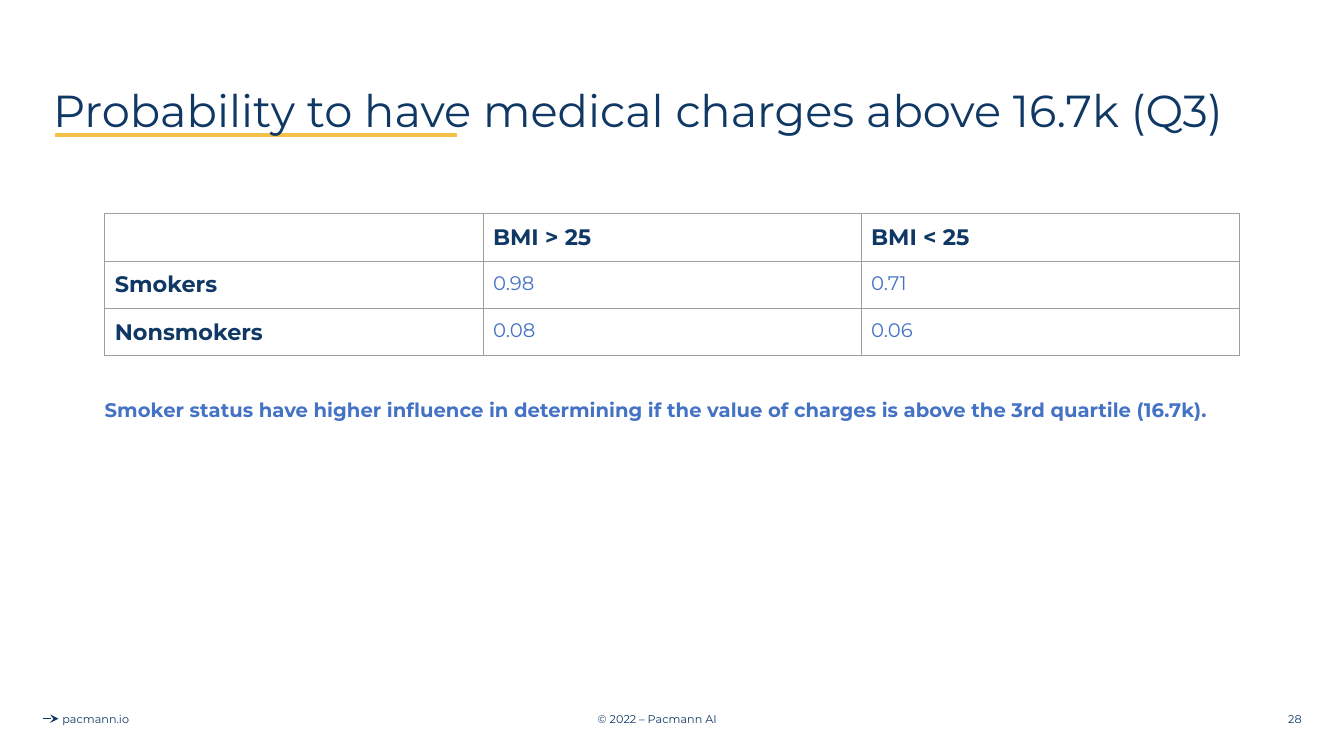
from dataclasses import dataclass

from lxml import etree
from pptx import Presentation
from pptx.dml.color import RGBColor
from pptx.enum import dml, shapes, text
from pptx.oxml import ns
from pptx.util import Inches, Pt


@dataclass(frozen=True)
class Theme:
    font: str = "Montserrat"
    navy: str = "103864"
    blue: str = "4472C4"
    yellow: str = "F3C145"
    border: str = "9E9E9E"
    paper: str = "FFFFFF"
    title_size: int = 32
    label_size: int = 16
    body_size: int = 14
    footer_size: int = 8


@dataclass(frozen=True)
class TextLine:
    wording: str
    left: float
    top: float
    width: float
    height: float
    size: int
    color: str
    bold: bool = False
    align: text.PP_ALIGN = text.PP_ALIGN.LEFT
    anchor: text.MSO_ANCHOR = text.MSO_ANCHOR.MIDDLE
    line_spacing: float = 1.0


@dataclass(frozen=True)
class Rule:
    start: float
    end: float
    y: float
    color: str
    weight: float
    arrow: bool = False


THEME = Theme()
FOOTER_TOP, FOOTER_HEIGHT = 6.93, 0.4
TABLE_LEFT, TABLE_TOP = 1.04, 2.12
COLUMN_WIDTH, ROW_HEIGHT = 3.75, 0.47
CELL_MARGIN = 0.1

RULES = [
    Rule(0.43, 0.58, 7.13, THEME.navy, 0.75, arrow=True),
    Rule(0.55, 4.53, 1.34, THEME.yellow, 2.25),
]


def footer(wording: str, left: float, width: float, align: text.PP_ALIGN) -> TextLine:
    return TextLine(wording, left, FOOTER_TOP, width, FOOTER_HEIGHT,
                    THEME.footer_size, THEME.navy, align=align)


TEXT_LINES = [
    footer("© 2022 – Pacmann AI", 4.27, 4.5, text.PP_ALIGN.CENTER),
    footer("pacmann.io", 0.3, 1.3, text.PP_ALIGN.CENTER),
    footer("28", 10.01, 3, text.PP_ALIGN.RIGHT),
    TextLine("Probability to have medical charges above 16.7k (Q3)",
             0.43, 0.4, 12.47, 1.45, THEME.title_size, THEME.navy, line_spacing=0.9),
    TextLine("Smoker status have higher influence in determining if the value of "
             "charges is above the 3rd quartile (16.7k).",
             0.94, 3.9, 11.96, 0.34, THEME.body_size, THEME.blue, bold=True,
             anchor=text.MSO_ANCHOR.TOP),
]

PROBABILITIES = [
    ["", "BMI > 25", "BMI < 25"],
    ["Smokers", "0.98", "0.71"],
    ["Nonsmokers", "0.08", "0.06"],
]


def format_font(paragraph, size: int, color: str, bold: bool) -> None:
    for attribute, value in {"name": THEME.font, "size": Pt(size), "bold": bold}.items():
        setattr(paragraph.font, attribute, value)
    paragraph.font.color.rgb = RGBColor.from_string(color)


def draw_text(slide, line: TextLine) -> None:
    box = slide.shapes.add_textbox(*map(Inches, (line.left, line.top, line.width, line.height)))
    frame = box.text_frame
    frame.text = line.wording
    for attribute, value in {"word_wrap": True, "vertical_anchor": line.anchor}.items():
        setattr(frame, attribute, value)
    paragraph = frame.paragraphs[0]
    for attribute, value in {"alignment": line.align, "line_spacing": line.line_spacing}.items():
        setattr(paragraph, attribute, value)
    format_font(paragraph, line.size, line.color, line.bold)


def draw_rule(slide, rule: Rule) -> None:
    connector = slide.shapes.add_connector(
        shapes.MSO_CONNECTOR.STRAIGHT,
        *map(Inches, (rule.start, rule.y, rule.end, rule.y)))
    connector.line.color.rgb = RGBColor.from_string(rule.color)
    connector.line.width = Pt(rule.weight)
    properties = connector._element.spPr
    if rule.arrow:
        etree.SubElement(properties.find(ns.qn("a:ln")), ns.qn("a:tailEnd"), type="stealth")
    etree.SubElement(properties, ns.qn("a:effectLst"))


def add_borders(cell) -> None:
    properties = cell._tc.get_or_add_tcPr()
    for side in ("lnL", "lnR", "lnT", "lnB"):
        edge = etree.SubElement(properties, ns.qn(f"a:{side}"), w=str(Pt(0.75)))
        fill = etree.SubElement(edge, ns.qn("a:solidFill"))
        etree.SubElement(fill, ns.qn("a:srgbClr"), val=THEME.border)


def draw_table(slide, rows: list[list[str]]) -> None:
    row_count, column_count = len(rows), len(rows[0])
    table = slide.shapes.add_table(
        row_count, column_count, Inches(TABLE_LEFT), Inches(TABLE_TOP),
        Inches(COLUMN_WIDTH * column_count), Inches(ROW_HEIGHT * row_count)).table
    for attribute in ("first_row", "horz_banding"):
        setattr(table, attribute, False)
    for row_index, row in enumerate(rows):
        for column_index, wording in enumerate(row):
            cell = table.cell(row_index, column_index)
            cell.text = wording
            for side in ("left", "right", "top", "bottom"):
                setattr(cell, f"margin_{side}", Inches(CELL_MARGIN))
            add_borders(cell)
            cell.fill.background()
            # Headings run along the first row and first column
            heading = row_index == 0 or column_index == 0
            size, color = ((THEME.label_size, THEME.navy) if heading
                           else (THEME.body_size, THEME.blue))
            format_font(cell.text_frame.paragraphs[0], size, color, heading)


def main() -> None:
    presentation = Presentation()
    presentation.slide_width, presentation.slide_height = Inches(13.33), Inches(7.5)
    slide = presentation.slides.add_slide(presentation.slide_layouts[6])
    background = slide.background.fill
    background.solid()
    background.fore_color.rgb = RGBColor.from_string(THEME.paper)

    # Footer arrow and title underline
    for rule in RULES:
        draw_rule(slide, rule)
    # Footer, title and conclusion
    for line in TEXT_LINES:
        draw_text(slide, line)
    # Probabilities by smoking status and BMI
    draw_table(slide, PROBABILITIES)

    presentation.save("out.pptx")


if __name__ == "__main__":
    main()
